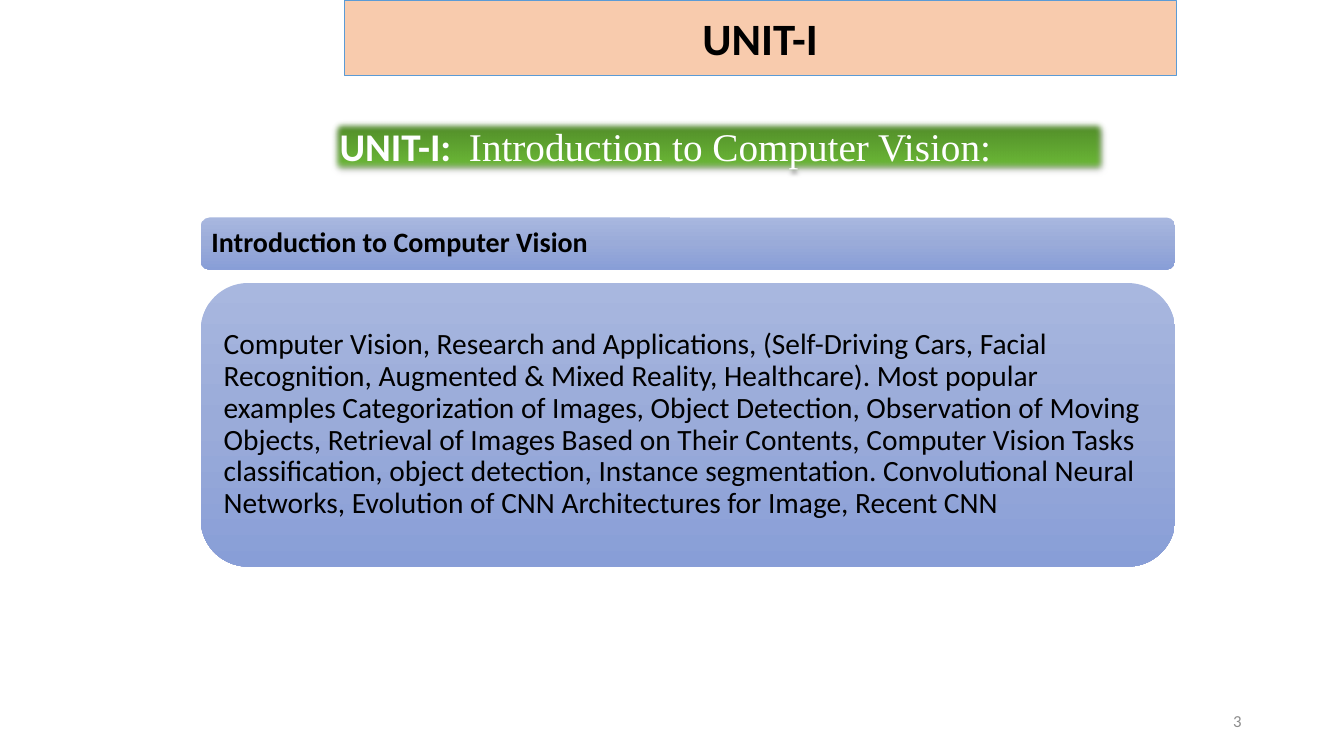
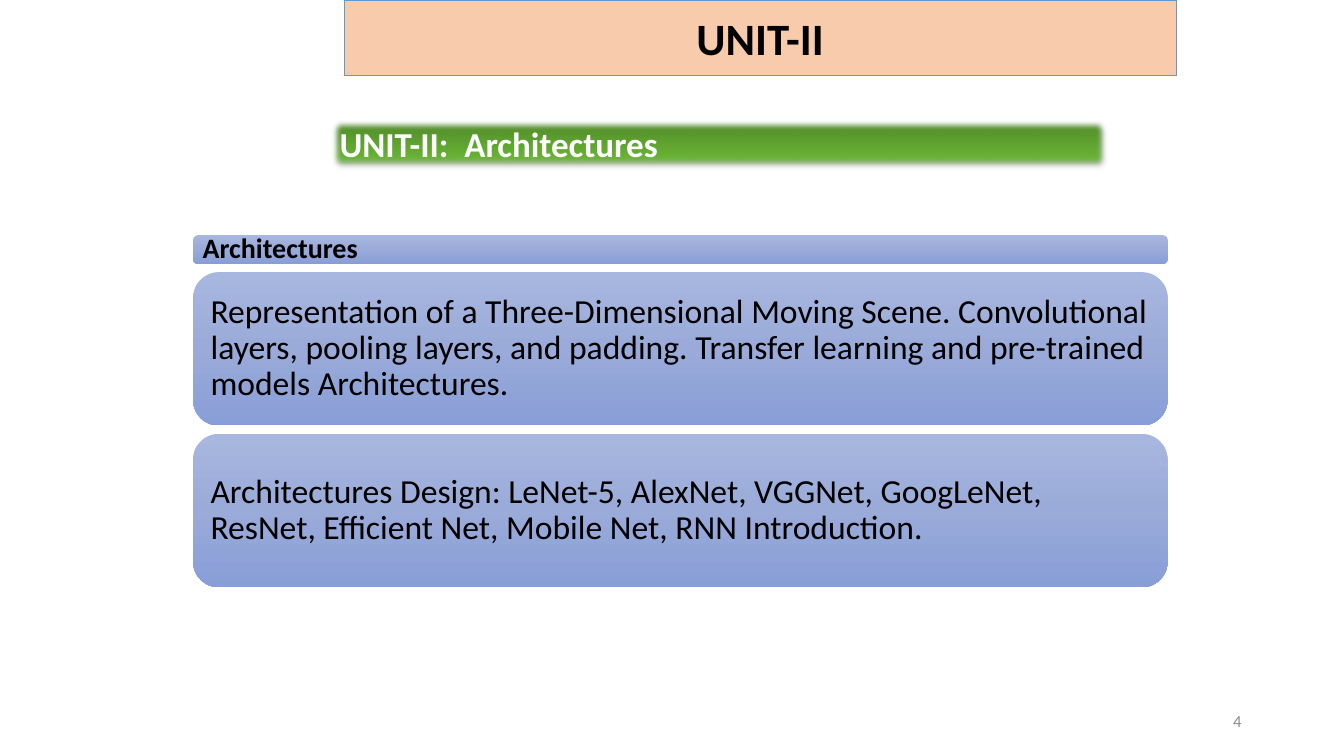
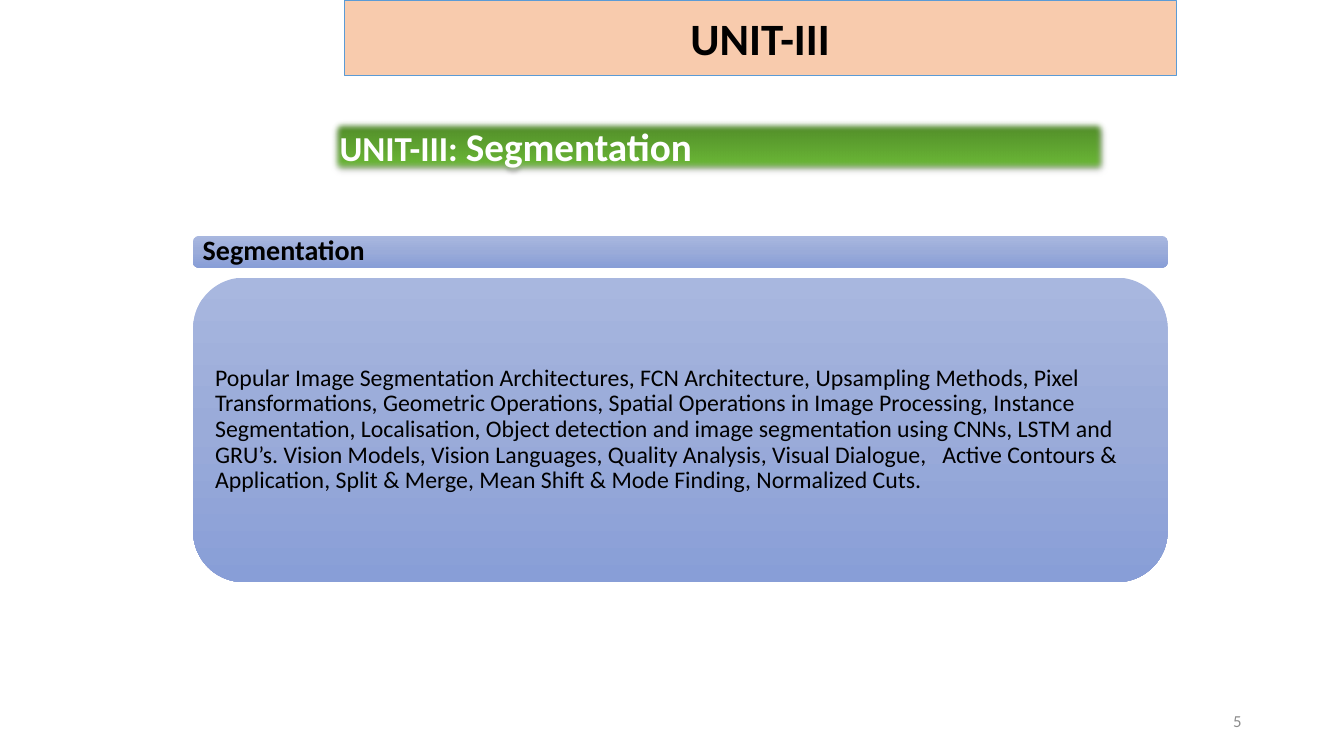
import pptx
import pptx.util
import pptx.dml.color
import pptx.enum.shapes
import pptx.enum.text
import pptx.oxml.ns
import lxml.etree

RGB = pptx.dml.color.RGBColor
SHAPE = pptx.enum.shapes.MSO_SHAPE
ALIGN = pptx.enum.text.PP_ALIGN
ANCHOR = pptx.enum.text.MSO_ANCHOR
qn = pptx.oxml.ns.qn

# Colours, with gradients as (position in %, colour)
BLACK = RGB(0x00, 0x00, 0x00)
WHITE = RGB(0xFF, 0xFF, 0xFF)
GREY = RGB(0x8C, 0x8C, 0x8C)
PEACH = RGB(0xF8, 0xCB, 0xAD)
SKY = RGB(0x5B, 0x9B, 0xD5)
GREENS = [(0, RGB(0x4D, 0x85, 0x27)), (80, RGB(0x6A, 0xB6, 0x36)),
          (100, RGB(0x6A, 0xBA, 0x34))]
BLUES = [(0, RGB(0xA8, 0xB7, 0xDF)), (50, RGB(0x9A, 0xAB, 0xD9)),
         (100, RGB(0x88, 0x9E, 0xD7))]

# The slide is a grid of 160 columns by 90 rows, each a twelfth of an inch
COLUMNS, ROWS = 160, 90
CELL = pptx.util.Inches(1) // 12
BODY_FONT = "Calibri"
SERIF_FONT = "Times New Roman"
PANEL_WIDTH = 116


def grid(*cells):
    return [round(cell * CELL) for cell in cells]


def write(box, spans, size=20, color=BLACK, bold=False, align=ALIGN.LEFT,
          anchor=ANCHOR.MIDDLE, spacing=None, inset=None):
    """Fill a box with one paragraph; spans are (text, overrides) pairs or a string."""
    frame = box.text_frame
    frame.word_wrap = True
    frame.vertical_anchor = anchor
    if inset is not None:
        frame.margin_left = frame.margin_right = pptx.util.Inches(inset)
        frame.margin_top = frame.margin_bottom = pptx.util.Inches(inset)
    para = frame.paragraphs[0]
    para.alignment = align
    if spacing:
        para.line_spacing = spacing
    for text, changes in [(spans, {})] if isinstance(spans, str) else spans:
        span = para.add_run()
        span.text = text
        span.font.name = changes.get("font", BODY_FONT)
        span.font.size = pptx.util.Pt(changes.get("size", size))
        span.font.bold = changes.get("bold", bold)
        span.font.color.rgb = color


def add_block(page, kind, place):
    block = page.shapes.add_shape(kind, *grid(*place))
    block.shadow.inherit = False
    block.line.fill.background()
    return block


def fill_downwards(block, stops):
    block.fill.gradient()
    block.fill.gradient_angle = 270
    stop_list = block._element.spPr.find(qn("a:gradFill")).find(qn("a:gsLst"))
    stop_list.clear()
    for position, color in stops:
        stop = lxml.etree.SubElement(stop_list, qn("a:gs"), pos=str(position * 1000))
        lxml.etree.SubElement(stop, qn("a:srgbClr"), val=str(color))


def soften(block):
    """Give a block a low shadow and soft edges."""
    effects = block._element.spPr.find(qn("a:effectLst"))
    shadow = lxml.etree.SubElement(
        effects, qn("a:outerShdw"), blurRad=str(pptx.util.Pt(3.1)),
        dist=str(pptx.util.Pt(1.8)), dir="5400000", rotWithShape="0")
    color = lxml.etree.SubElement(shadow, qn("a:srgbClr"), val=str(BLACK))
    lxml.etree.SubElement(color, qn("a:alpha"), val="35000")
    lxml.etree.SubElement(effects, qn("a:softEdge"), rad=str(pptx.util.Pt(5)))


def add_title(page, text):
    title = add_block(page, SHAPE.RECTANGLE, (41, 0, 99, 9))
    title.fill.solid()
    title.fill.fore_color.rgb = PEACH
    title.line.color.rgb = SKY
    title.line.width = pptx.util.Pt(0.5)
    write(title, text, size=32, bold=True, align=ALIGN.CENTER)


def add_band(page, spans, height, align=ALIGN.LEFT):
    band = add_block(page, SHAPE.RECTANGLE, (39.25, 14, 92.75, height))
    fill_downwards(band, GREENS)
    soften(band)
    write(band, spans, size=25, color=WHITE, bold=True, align=align, anchor=ANCHOR.TOP)
    band.text_frame.auto_size = pptx.enum.text.MSO_AUTO_SIZE.SHAPE_TO_FIT_TEXT


def add_panels(page, left, top, gap, panels):
    """Stack rounded panels; each is (height, text, format)."""
    for height, text, style in panels:
        panel = add_block(page, SHAPE.ROUNDED_RECTANGLE, (left, top, PANEL_WIDTH, height))
        fill_downwards(panel, BLUES)
        write(panel, text, spacing=0.9, **style)
        top += height + gap


def add_number(page, number):
    box = page.shapes.add_textbox(*grid(113, 83.4, 36, 4.8))
    write(box, str(number), size=12, color=GREY, align=ALIGN.RIGHT)


HEADING = dict(size=20, bold=True, inset=0.08)

UNITS = [
    dict(title="UNIT-I",
         band=dict(spans=[("UNIT-I:  ", dict(size=28)),
                          ("Introduction to Computer Vision:",
                           dict(size=28, font=SERIF_FONT, bold=False))],
                   height=6.8, align=ALIGN.JUSTIFY),
         stack=dict(left=23.9, top=25.9, gap=1.6, panels=[
             (6.2, "Introduction to Computer Vision", HEADING),
             (33.75, "Computer Vision, Research and Applications, (Self-Driving Cars, "
              "Facial Recognition, Augmented & Mixed Reality, Healthcare). Most popular "
              "examples Categorization of Images, Object Detection, Observation of Moving "
              "Objects, Retrieval of Images Based on Their Contents, Computer Vision Tasks "
              "classification, object detection, Instance segmentation. Convolutional "
              "Neural Networks, Evolution of CNN Architectures for Image, Recent CNN",
              dict(size=21, inset=0.09))])),
    dict(title="UNIT-II",
         band=dict(spans="UNIT-II:  Architectures", height=6.2),
         stack=dict(left=23, top=28, gap=1, panels=[
             (3.4, "Architectures", HEADING),
             (18.25, "Representation of a Three-Dimensional Moving Scene. Convolutional "
              "layers, pooling layers, and padding. Transfer learning and pre-trained "
              "models Architectures.", dict(size=24, inset=0.1)),
             (18.25, "Architectures Design: LeNet-5, AlexNet, VGGNet, GoogLeNet, ResNet, "
              "Efficient Net, Mobile Net, RNN Introduction.", dict(size=24, inset=0.1))])),
    dict(title="UNIT-III",
         band=dict(spans=[("UNIT-III: ", {}), ("Segmentation", dict(size=28))], height=6.8),
         stack=dict(left=23, top=28.1, gap=1.2, panels=[
             (3.75, "Segmentation", HEADING),
             (36.25, "Popular Image Segmentation Architectures, FCN Architecture, "
              "Upsampling Methods, Pixel Transformations, Geometric Operations, Spatial "
              "Operations in Image Processing, Instance Segmentation, Localisation, Object "
              "detection and image segmentation using CNNs, LSTM and GRU’s. Vision Models, "
              "Vision Languages, Quality Analysis, Visual Dialogue,   Active Contours & "
              "Application, Split & Merge, Mean Shift & Mode Finding, Normalized Cuts.",
              dict(size=17, inset=0.07))])),
]


def main():
    deck = pptx.Presentation()
    deck.slide_width, deck.slide_height = grid(COLUMNS, ROWS)
    blank = deck.slide_layouts[6]
    for number, unit in enumerate(UNITS, start=3):
        page = deck.slides.add_slide(blank)
        add_number(page, number)
        add_title(page, unit["title"])
        add_band(page, **unit["band"])
        add_panels(page, **unit["stack"])
    deck.save("out.pptx")


if __name__ == "__main__":
    main()
